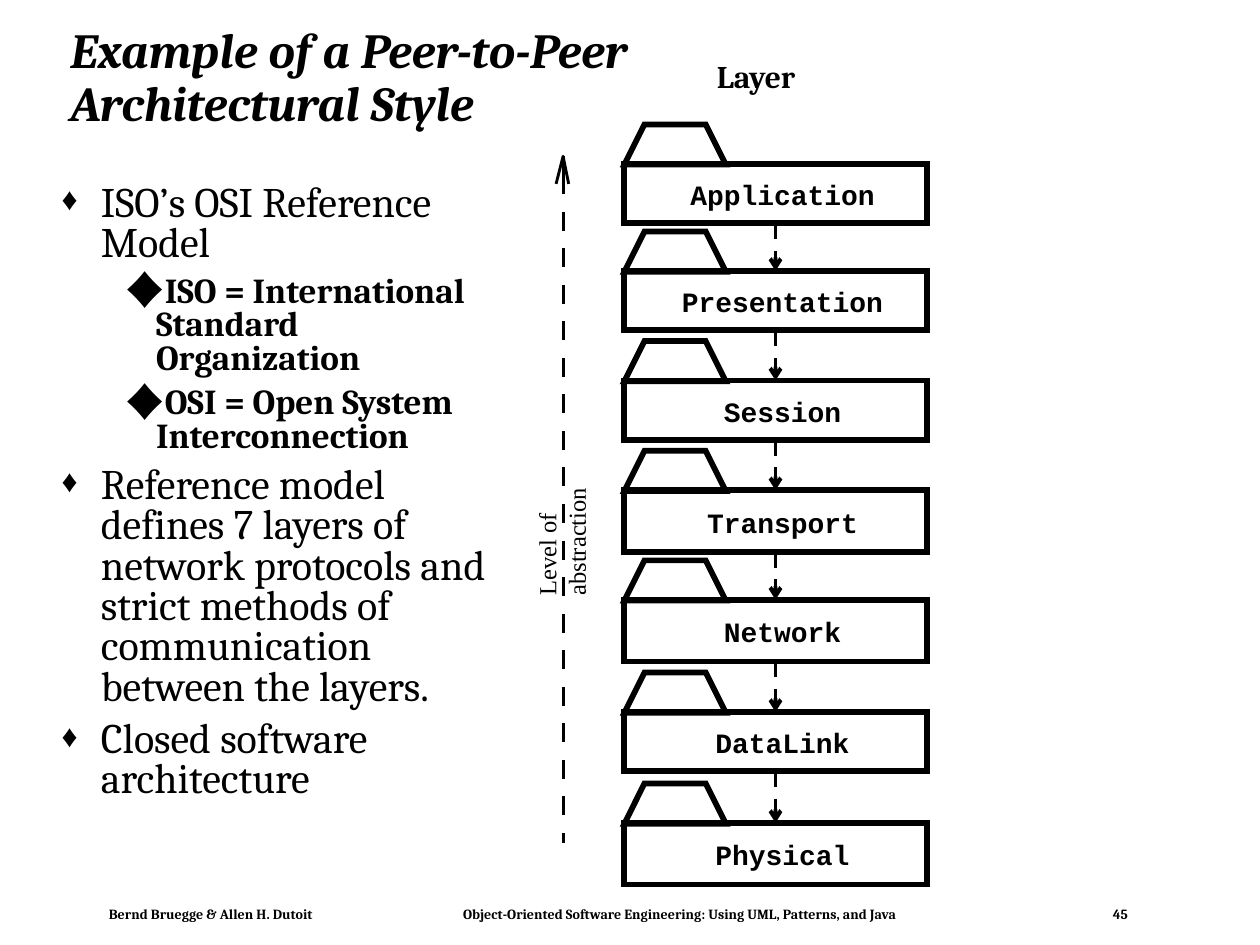
from lxml.etree import SubElement as Sub
from pptx import Presentation
from pptx.dml.color import RGBColor
from pptx.enum.dml import MSO_LINE as Dash
from pptx.enum.shapes import MSO_CONNECTOR as Conn, MSO_SHAPE as Kind
from pptx.enum.text import MSO_ANCHOR as Anchor, PP_ALIGN as Align
from pptx.oxml.ns import qn
from pptx.util import Pt

INK = RGBColor.from_string("000000")

deck = Presentation()
deck.slide_width, deck.slide_height = Pt(720), Pt(540)
slide = deck.slides.add_slide(deck.slide_layouts[6])
shapes = slide.shapes


def add_box(x, y, w, h, text, face, size, bold=True, pad=True):
    box = shapes.add_textbox(Pt(x), Pt(y), Pt(w), Pt(h))
    frame = box.text_frame
    frame.word_wrap = True
    if not pad:
        frame.margin_left = frame.margin_right = 0
        frame.margin_top = frame.margin_bottom = 0
    frame.text = text
    for par in frame.paragraphs:
        for run in par.runs:
            run.font.name, run.font.size, run.font.bold = face, Pt(size), bold
            run.font.color.rgb = INK
    return box


def add_line(x, top, end, width):
    line = shapes.add_connector(Conn.STRAIGHT, Pt(x), Pt(top), Pt(x), Pt(end))
    line.line.color.rgb = INK
    line.line.width = Pt(width)
    Sub(line._element.spPr, qn("a:effectLst"))
    return line


foot = add_box(62.2, 517.5, 600, 15,
               "Bernd Bruegge & Allen H. Dutoit"
               "\tObject-Oriented Software Engineering: Using UML, Patterns, and Java\t45",
               "Cambria", 8, pad=False)
tabs = Sub(foot.text_frame.paragraphs[0]._p.get_or_add_pPr(), qn("a:tabLst"))
for stop in (202.4, 573.8):
    Sub(tabs, qn("a:tab"), pos=str(Pt(stop)), algn="l")

layers = [
    ("Application", 93.6, 34), ("Presentation", 154.8, 34),
    ("Session", 217.4, 34), ("Transport", 280.1, 35.3),
    ("Network", 342.7, 35.3), ("DataLink", 406.8, 34), ("Physical", 470.2, 35.3),
]
last = None
for name, top, high in layers:
    rect = shapes.add_shape(Kind.RECTANGLE, Pt(356.4), Pt(top), Pt(173.5), Pt(high))
    tab = shapes.add_shape(Kind.TRAPEZOID, Pt(356.8), Pt(top - 22.5), Pt(58), Pt(23))
    tab.adjustments[0] = 0.5
    for part in (rect, tab):
        part.shadow.inherit = False
        part.fill.background()
        part.line.color.rgb = INK
        part.line.width = Pt(3.25)
        Sub(part.line._get_or_add_ln(), qn("a:miter"), lim="800000")
    frame = rect.text_frame
    frame.word_wrap = False
    frame.margin_left, frame.margin_top = Pt(8), Pt(1)
    frame.margin_right = frame.margin_bottom = 0
    frame.vertical_anchor = Anchor.MIDDLE
    frame.text = name
    par = frame.paragraphs[0]
    par.alignment = Align.CENTER
    font = par.runs[0].font
    font.name, font.size, font.bold = "Courier New", Pt(16), True
    font.color.rgb = INK
    if last:
        flow = add_line(443, top - 27, top, 2.25)
        flow.begin_connect(last, 2)
        flow.end_connect(rect, 0)
        flow.line.dash_style = Dash.DASH
        Sub(flow.line._get_or_add_ln(), qn("a:tailEnd"), type="arrow")
    last = rect

axis = 321.8
add_line(axis, 89.3, 110.9, 1.63)
for step in range(18):
    top = 121 + step * 20.88
    add_line(axis, top, min(top + 10.8, 481.7), 1.63)
pen = shapes.build_freeform(Pt(axis - 4), Pt(105.1), scale=1)
pen.add_line_segments([(Pt(axis), Pt(89.3)), (Pt(axis + 3.2), Pt(105.1))], close=False)
head = pen.convert_to_shape()
head.shadow.inherit = False
head.fill.background()
head.line.color.rgb = INK
head.line.width = Pt(1.63)

level = add_box(284, 288.3, 72, 32, "Level of abstraction", "Times New Roman", 14, False, False)
level.rotation = 270

title = add_box(33.1, 17.3, 642.2, 55.4,
                "Example of a Peer-to-Peer\vArchitectural Style", "Cambria", 28)
title.text_frame.vertical_anchor = Anchor.MIDDLE
par = title.text_frame.paragraphs[0]
par.line_spacing = 0.9
for run in par.runs:
    run.font.italic = True

points = [
    (0, "ISO’s OSI Reference Model"),
    (1, "ISO = International Standard Organization"),
    (1, "OSI = Open System Interconnection"),
    (0, "Reference model defines 7 layers of network protocols and strict methods"
        " of communication between the layers."),
    (0, "Closed software architecture"),
]
looks = [("Times New Roman", 22.5, 22.5, 24, 75, 7), ("Cambria", 54, 18, 20, 115, 6)]
body = add_box(28.1, 102.2, 259.2, 387.4, "\n".join(text for _, text in points),
               "Cambria", 24, False)
for rank, (par, (depth, _)) in enumerate(zip(body.text_frame.paragraphs, points)):
    face, left, hang, size, scale, gap = looks[depth]
    par.level = depth
    par.line_spacing = 0.8
    par.space_before = Pt(gap if rank else 0)
    props = par._p.get_or_add_pPr()
    props.set("marL", str(Pt(left)))
    props.set("indent", str(-Pt(hang)))
    Sub(Sub(props, qn("a:buClr")), qn("a:srgbClr"), val="000000")
    Sub(props, qn("a:buSzPct"), val=str(scale * 1000))
    Sub(props, qn("a:buFont"), typeface=face)
    Sub(props, qn("a:buChar"), char="♦")
    par.runs[0].font.size = Pt(size)
    par.runs[0].font.bold = depth == 1

layer = add_box(401.8, 28.8, 60.5, 28.8, "Layer", "Cambria", 18)
layer.text_frame.word_wrap = False
layer.text_frame.vertical_anchor = Anchor.MIDDLE
layer.text_frame.paragraphs[0].alignment = Align.CENTER

deck.save("out.pptx")
